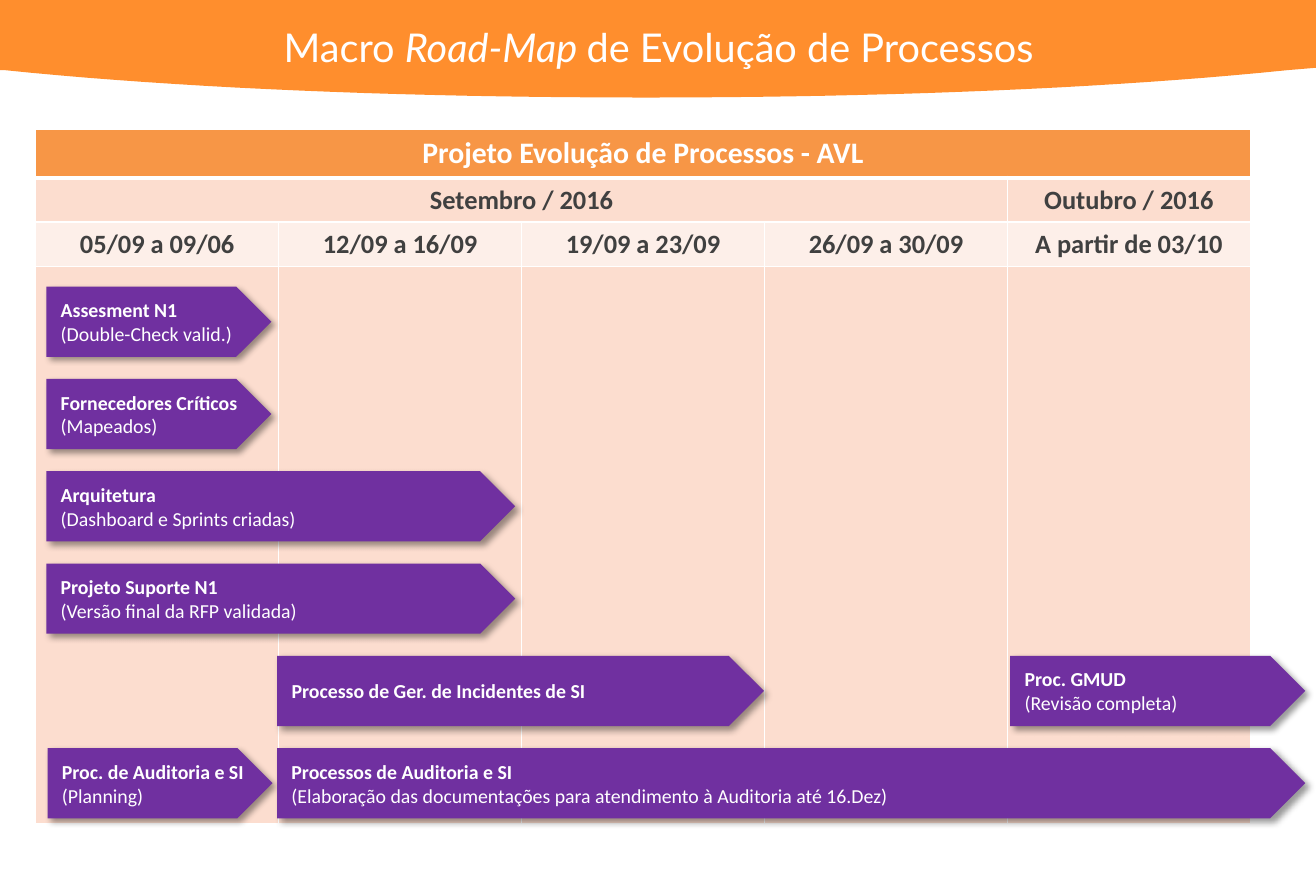
from lxml.etree import SubElement
from pptx import Presentation
from pptx.dml.color import RGBColor
from pptx.enum.shapes import MSO_SHAPE as Shape
from pptx.enum.text import MSO_ANCHOR as Anchor, PP_ALIGN as Align
from pptx.oxml import parse_xml
from pptx.oxml.ns import nsdecls, qn
from pptx.util import Inches, Pt

WHITE, PURPLE, ORANGE = "FFFFFF", "7030A0", "FF8E2D"
HEAD, PEACH, PALE, GREY = "F79646", "FCDDCF", "FDEFE9", "404040"

TITLE = [("Macro ", False), ("Road-Map ", True), ("de Evolução de Processos", False)]
ROWS = [
    (0.40, HEAD, WHITE, 18, [("Projeto Evolução de Processos - AVL", 5)]),
    (0.37, PEACH, GREY, 16, [("Setembro / 2016", 4), ("Outubro / 2016", 1)]),
    (0.37, PALE, GREY, 16, [("05/09 a 09/06", 1), ("12/09 a 16/09", 1),
                            ("19/09 a 23/09", 1), ("26/09 a 30/09", 1),
                            ("A partir de 03/10", 1)]),
    (4.69, PEACH, GREY, 16, []),
]
TASKS = [
    (0, 0.39, 1.89, "Assesment N1", "(Double-Check valid.)"),
    (1, 0.39, 1.89, "Fornecedores Críticos", "(Mapeados)"),
    (2, 0.39, 3.94, "Arquitetura", "(Dashboard e Sprints criadas)"),
    (3, 0.39, 3.94, "Projeto Suporte N1", "(Versão final da RFP validada)"),
    (4, 2.33, 4.09, "Processo de Ger. de Incidentes de SI", ""),
    (4, 8.49, 2.48, "Proc. GMUD", "(Revisão completa)"),
    (5, 0.40, 1.89, "Proc. de Auditoria e SI", "(Planning)"),
    (5, 2.33, 8.64, "Processos de Auditoria e SI",
     "(Elaboração das documentações para atendimento à Auditoria até 16.Dez)"),
]
CURVES = [
    [(10.82, 0.59), (9.36, 0.74), (7.48, 0.82), (5.43, 0.82)],
    [(5.43, 0.82), (3.38, 0.82), (1.5, 0.74), (0.04, 0.59)],
]
TOP, PITCH = 2.41, (6.29 - 2.41) / 5


def rgb(code):
    return RGBColor.from_string(code)


def paint(item, code):
    item.fill.solid()
    item.fill.fore_color.rgb = rgb(code)


def write(para, text, size, code, face="Calibri", bold=False, slant=False):
    run = para.add_run()
    run.text = text
    font = run.font
    font.size, font.name, font.bold, font.italic = Pt(size), face, bold, slant
    font.color.rgb = rgb(code)


def bend(curve, steps=20):
    for n in range(1, steps + 1):
        t = n / steps
        parts = ((1 - t) ** 3, 3 * t * (1 - t) ** 2, 3 * t * t * (1 - t), t ** 3)
        yield tuple(sum(w * p[axis] for w, p in zip(parts, curve)) for axis in (0, 1))


def edge(cell, row):
    props = cell._tc.get_or_add_tcPr()
    wide = {"T": row == 1, "B": row == 0}
    for n, side in enumerate("LRTB"):
        width = Pt(3 if wide.get(side) else 1)
        props.insert(n, parse_xml(
            f'<a:ln{side} {nsdecls("a")} w="{width}"><a:solidFill>'
            f'<a:srgbClr val="{WHITE}"/></a:solidFill></a:ln{side}>'))


def banner(slide):
    pen = slide.shapes.build_freeform(0, 0, scale=1)
    dots = [(11.06, 0), (11.06, 0.57), CURVES[0][0]]
    for curve in CURVES:
        dots += bend(curve)
    dots.append((0, 0.59))
    pen.add_line_segments([(Inches(x), Inches(y)) for x, y in dots], close=True)
    shape = pen.convert_to_shape()
    paint(shape, ORANGE)
    shape.line.fill.background()
    shape.shadow.inherit = False


def title(slide):
    box = slide.shapes.add_textbox(Inches(0.97), Inches(0.14), Inches(9.13), Inches(0.5))
    box.text_frame.word_wrap = True
    para = box.text_frame.paragraphs[0]
    para.alignment = Align.CENTER
    for text, slant in TITLE:
        write(para, text, 24, WHITE, "Lato", slant=slant)


def calendar(slide):
    high = sum(row[0] for row in ROWS)
    table = slide.shapes.add_table(len(ROWS), 5, Inches(0.3), Inches(1.09),
                                   Inches(10.21), Inches(high)).table
    table.first_row = table.horz_banding = False
    for r, (tall, fill, ink, size, heads) in enumerate(ROWS):
        table.rows[r].height = Inches(tall)
        for c in range(5):
            cell = table.cell(r, c)
            paint(cell, fill)
            edge(cell, r)
        col = 0
        for text, span in heads:
            cell = table.cell(r, col)
            if span > 1:
                cell.merge(table.cell(r, col + span - 1))
            cell.vertical_anchor = Anchor.MIDDLE
            para = cell.text_frame.paragraphs[0]
            para.alignment = Align.CENTER
            write(para, text, size, ink, bold=True)
            col += span


def shade(shape):
    shape.shadow.inherit = False
    effects = shape._element.spPr.find(qn("a:effectLst"))
    drop = SubElement(effects, qn("a:outerShdw"), blurRad=str(Pt(4)), dist=str(Pt(3)),
                      dir=str(45 * 60000), algn="tl", rotWithShape="0")
    tint = SubElement(drop, qn("a:srgbClr"), val="000000")
    SubElement(tint, qn("a:alpha"), val="40000")


def task(slide, row, left, width, name, note):
    bar = slide.shapes.add_shape(Shape.PENTAGON, Inches(left), Inches(TOP + row * PITCH),
                                 Inches(width), Inches(0.59))
    paint(bar, PURPLE)
    bar.line.fill.background()
    shade(bar)
    frame = bar.text_frame
    frame.word_wrap = True
    frame.vertical_anchor = Anchor.MIDDLE
    frame.margin_left = frame.margin_right = frame.margin_top = frame.margin_bottom = 0
    for n, text in enumerate(filter(None, (name, note))):
        para = frame.add_paragraph() if n else frame.paragraphs[0]
        para.alignment = Align.LEFT
        para._p.get_or_add_pPr().set("marL", str(Inches(0.12)))
        write(para, text, 12, WHITE, bold=n == 0)


def main():
    deck = Presentation()
    deck.slide_width, deck.slide_height = Inches(11.06), Inches(7.5)
    slide = deck.slides.add_slide(deck.slide_layouts[6])
    banner(slide)
    calendar(slide)
    title(slide)
    for item in TASKS:
        task(slide, *item)
    deck.save("out.pptx")


if __name__ == "__main__":
    main()
